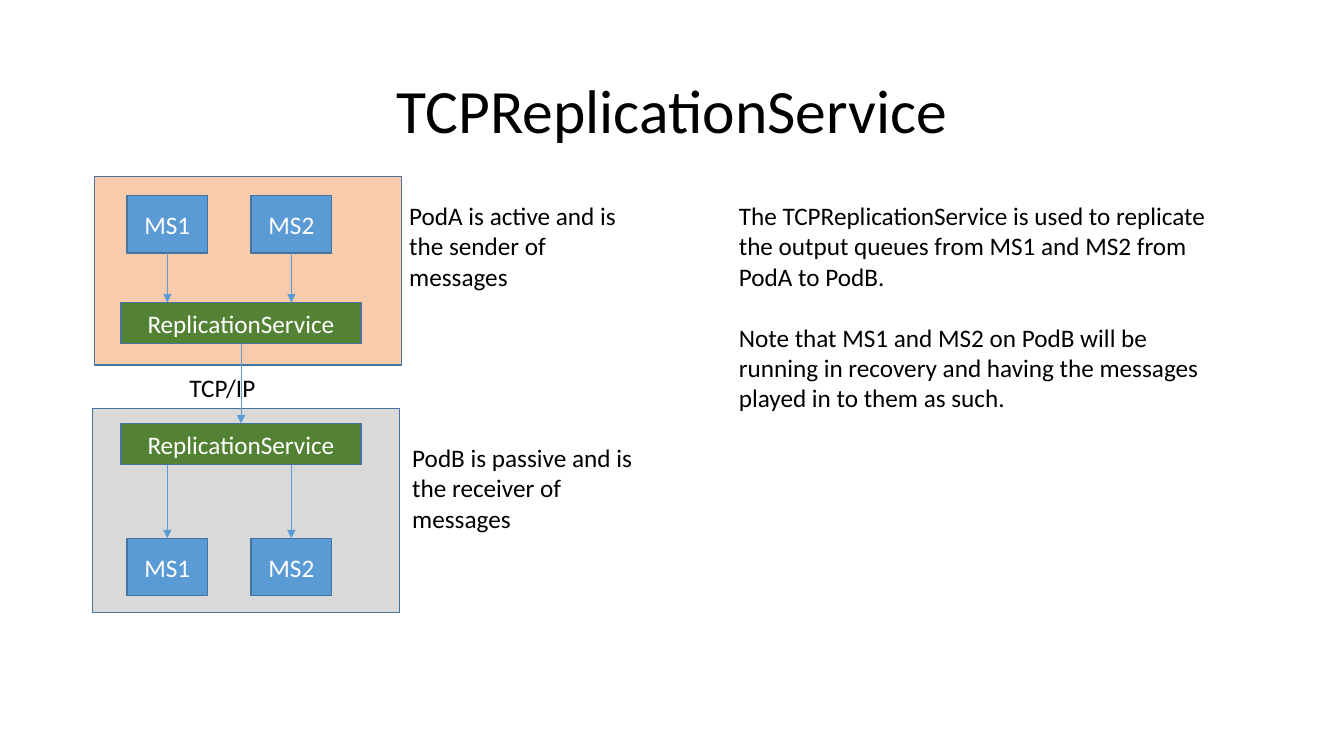
from lxml import etree
from pptx import Presentation
from pptx import util as u
from pptx.dml.color import RGBColor
from pptx.enum import shapes, text
from pptx.oxml.ns import qn

PX = 9144  # EMU per px, 100 px to the inch
FONT = "Calibri"
COLORS = {
    "active": "F8CBAD", "passive": "D9D9D9", "ms": "5B9BD5",
    "service": "548235", "outline": "43739E", "arrow": "5B9BD5",
    "dark": "000000", "light": "FFFFFF",
}
MS_LEFTS = {"MS1": 126, "MS2": 249}
MS_W, MS_H = 80, 57
SERVICE_LEFT, SERVICE_W, SERVICE_H = 120, 238, 41
BOTTOM, TOP = 2, 0  # connection sites


def color(name):
    return RGBColor.from_string(COLORS[name])


def px(*lengths):
    return [u.Emu(length * PX) for length in lengths]


def write(frame, paragraphs, ink, size=18, align=text.PP_ALIGN.LEFT):
    frame.word_wrap = True
    frame.text = "\n".join(paragraphs)
    for paragraph in frame.paragraphs:
        paragraph.alignment = align
        for run in paragraph.runs:
            run.font.name = FONT
            run.font.size = u.Pt(size)
            run.font.color.rgb = color(ink)


def box(slide, bounds, fill, label=None):
    rect = slide.shapes.add_shape(shapes.MSO_SHAPE.RECTANGLE, *px(*bounds))
    rect.shadow.inherit = False
    rect.fill.solid()
    rect.fill.fore_color.rgb = color(fill)
    rect.line.color.rgb = color("outline")
    rect.line.width = u.Pt(1)
    if label:
        write(rect.text_frame, [label], "light", align=text.PP_ALIGN.CENTER)
        rect.text_frame.vertical_anchor = text.MSO_ANCHOR.MIDDLE
    return rect


def label(slide, bounds, *paragraphs, **style):
    frame = slide.shapes.add_textbox(*px(*bounds)).text_frame
    write(frame, paragraphs, "dark", **style)
    return frame


def arrow(slide, x, top, bottom, source=None, target=None):
    """Draw a downward arrow, joined to the boxes it meets at mid-side."""
    link = slide.shapes.add_connector(
        shapes.MSO_CONNECTOR.STRAIGHT, *px(x, top, x, bottom))
    if source:
        link.begin_connect(source, BOTTOM)
    if target:
        link.end_connect(target, TOP)
    link.line.color.rgb = color("arrow")
    link.line.width = u.Pt(0.5)
    etree.SubElement(link.line._get_or_add_ln(), qn("a:tailEnd"), type="triangle")
    etree.SubElement(link._element.spPr, qn("a:effectLst"))


def pod(slide, bounds, fill, ms_top, service_top):
    """Draw a pod and return its replication service."""
    box(slide, bounds, fill)
    service = box(slide, (SERVICE_LEFT, service_top, SERVICE_W, SERVICE_H),
                  "service", "ReplicationService")
    for name, left in MS_LEFTS.items():
        ms = box(slide, (left, ms_top, MS_W, MS_H), "ms", name)
        center = left + MS_W // 2
        if ms_top < service_top:
            arrow(slide, center, ms_top + MS_H, service_top, source=ms)
        else:
            arrow(slide, center, service_top + SERVICE_H, ms_top, target=ms)
    return service


def main():
    prs = Presentation()
    prs.slide_width, prs.slide_height = px(1333, 750)
    slide = prs.slides.add_slide(prs.slide_layouts[6])

    # Title
    title = label(slide, (92, 40, 1150, 145), "TCPReplicationService",
                  size=44, align=text.PP_ALIGN.CENTER)
    title.vertical_anchor = text.MSO_ANCHOR.MIDDLE
    title.paragraphs[0].line_spacing = 0.9

    # Pods and the link between them
    receiver = pod(slide, (92, 405, 304, 203), "passive", 534, 420)
    sender = pod(slide, (94, 175, 304, 187), "active", 194, 300)
    label(slide, (178, 364, 110, 40), "TCP/IP")
    arrow(slide, SERVICE_LEFT + SERVICE_W // 2, 341, 420, sender, receiver)

    # Pod roles
    label(slide, (396, 194, 255, 101),
          "PodA is active and is the sender of messages")
    label(slide, (399, 434, 255, 101),
          "PodB is passive and is the receiver of messages")

    # Explanation
    explanation = label(
        slide, (723, 194, 496, 222),
        "The TCPReplicationService is used to replicate the output queues "
        "from MS1 and MS2 from PodA to PodB.",
        "Note that MS1 and MS2 on PodB will be running in recovery and "
        "having the messages played in to them as such.")
    explanation.paragraphs[1].space_before = u.Pt(22)

    prs.save("out.pptx")


if __name__ == "__main__":
    main()
